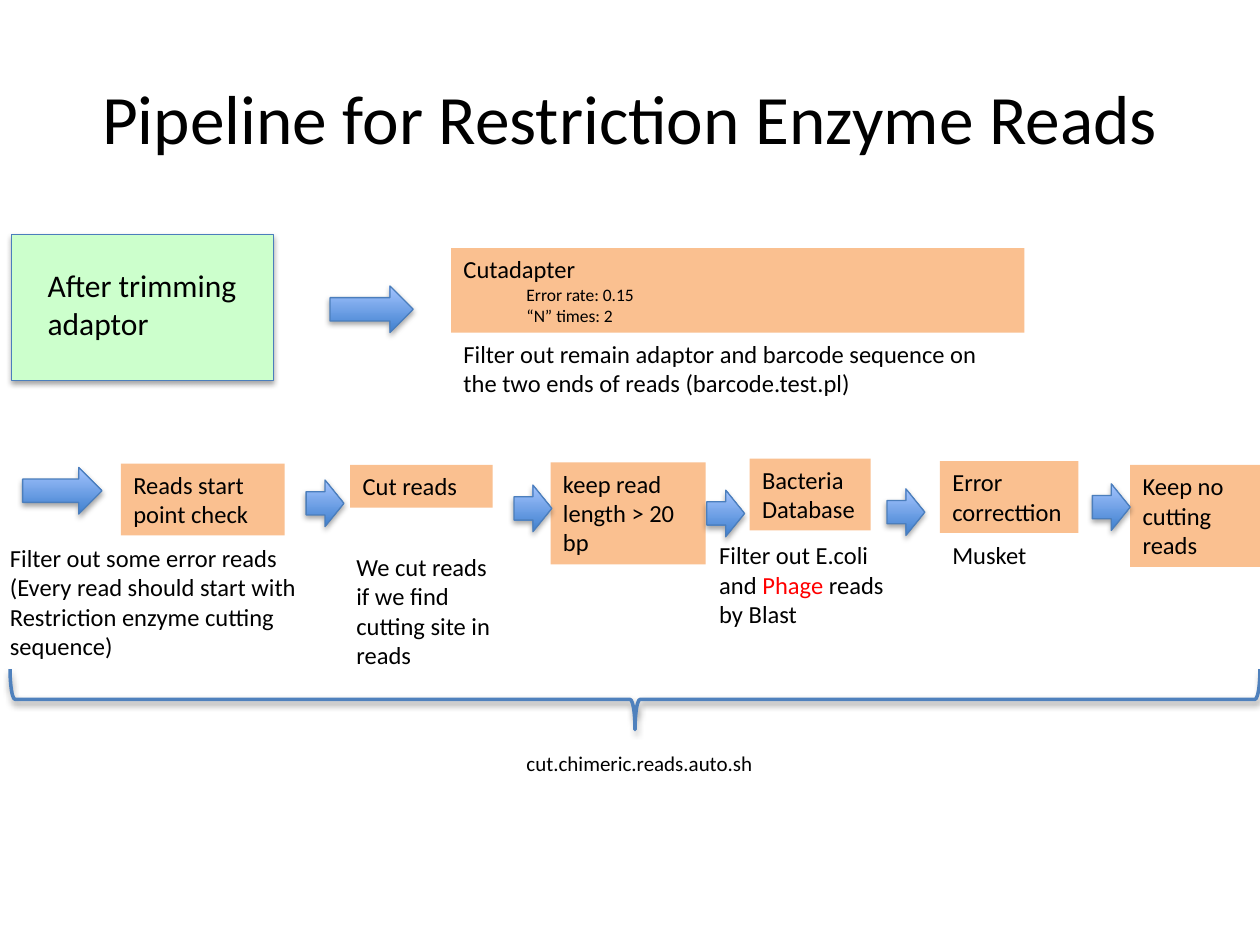
from pptx import Presentation
from pptx.dml.color import RGBColor
from pptx.enum.shapes import MSO_SHAPE
from pptx.enum.text import MSO_ANCHOR, MSO_AUTO_SIZE, PP_ALIGN
from pptx.oxml import parse_xml
from pptx.util import Inches, Pt

RECT, ARROW, BRACE = MSO_SHAPE.RECTANGLE, MSO_SHAPE.RIGHT_ARROW, MSO_SHAPE.LEFT_BRACE
GROW, MIDDLE, CENTER = MSO_AUTO_SIZE.SHAPE_TO_FIT_TEXT, MSO_ANCHOR.MIDDLE, PP_ALIGN.CENTER

THEME = {
    "font": "Calibri",
    "text": RGBColor.from_string("000000"),
    "alert": RGBColor.from_string("FF0000"),
    "start": RGBColor.from_string("CCFFCC"),
    "step": RGBColor.from_string("FAC090"),
    "outline": RGBColor.from_string("4B7EBC"),
    "brace": RGBColor.from_string("4F81BD"),
    "arrow": [RGBColor.from_string("3F80CE"), RGBColor.from_string("A4C4FF")],
    "title_size": 39.6, "start_size": 18, "body_size": 14,
    "script_size": 12, "detail_size": 10,
}
SHADOW = (
    '<a:effectLst xmlns:a="http://schemas.openxmlformats.org/drawingml/2006/main">'
    '<a:outerShdw blurRad="40000" dist="23000" dir="5400000" rotWithShape="0">'
    '<a:srgbClr val="000000"><a:alpha val="35000"/></a:srgbClr>'
    '</a:outerShdw></a:effectLst>')


def add_text(box, paragraphs, fill=None):
    """Add a text box; a paragraph is a list of (text, size, colour) runs."""
    sp = s.shapes.add_textbox(*map(Inches, box))
    if fill is not None:
        sp.fill.solid()
        sp.fill.fore_color.rgb = fill
    tf = sp.text_frame
    tf.word_wrap = True
    tf.auto_size = GROW
    for i, runs in enumerate(paragraphs):
        p = tf.add_paragraph() if i else tf.paragraphs[0]
        for text, size, color in runs:
            r = p.add_run()
            r.text = text
            for name, value in {"name": THEME["font"], "size": Pt(size)}.items():
                setattr(r.font, name, value)
            r.font.color.rgb = color
    return tf


def add_shadowed(kind, box, line, width):
    """Add an outlined shape with a soft shadow below it."""
    sp = s.shapes.add_shape(kind, *map(Inches, box))
    sp.line.color.rgb = line
    sp.line.width = Pt(width)
    sp._element.spPr.append(parse_xml(SHADOW))
    return sp


prs = Presentation()
prs.slide_width, prs.slide_height = Inches(10), Inches(7.5)
s = prs.slides.add_slide(prs.slide_layouts[5])
BODY, BLACK = THEME["body_size"], THEME["text"]

# Title
title = s.shapes.title
title.left, title.top, title.width, title.height = map(Inches, (0.5, 0.3, 9, 1.25))
tf = title.text_frame
tf.text = "Pipeline for Restriction Enzyme Reads"
tf.vertical_anchor = MIDDLE
p = tf.paragraphs[0]
p.alignment = CENTER
font = p.runs[0].font
for name, value in {"name": THEME["font"], "size": Pt(THEME["title_size"])}.items():
    setattr(font, name, value)
font.color.rgb = BLACK

# Starting point
start = add_shadowed(RECT, (0.09, 1.86, 2.08, 1.16), THEME["outline"], 0.75)
start.fill.solid()
start.fill.fore_color.rgb = THEME["start"]
add_text((0.28, 2.06, 1.83, 0.71),
         [[("After trimming adaptor", THEME["start_size"], BLACK)]])

# Adapter trimming with its settings
tf = add_text((3.58, 1.97, 4.55, 0.67),
              [[("Cutadapter", BODY, BLACK)],
               [("Error rate: 0.15", THEME["detail_size"], BLACK)],
               [("“N” times: 2", THEME["detail_size"], BLACK)]], THEME["step"])
for p in tf.paragraphs[1:]:
    p.level = 1

# Steps
steps = [
    ((0.96, 3.68, 1.3, 0.57), ["Reads start", "point check"]),
    ((2.78, 3.69, 1.13, 0.34), ["Cut reads"]),
    ((4.37, 3.67, 1.23, 0.81), ["keep read length > 20 bp"]),
    ((5.95, 3.64, 0.96, 0.57), ["Bacteria", "Database"]),
    ((7.46, 3.66, 1.1, 0.57), ["Error correcttion"]),
    ((8.97, 3.69, 1.03, 0.81), ["Keep no cutting reads"]),
]
for box, lines in steps:
    add_text(box, [[(line, BODY, BLACK)] for line in lines], THEME["step"])

# Explanations under the steps
notes = [
    ((3.58, 2.64, 4.55, 0.57),
     ["Filter out remain adaptor and barcode sequence on the two ends of reads "
      "(barcode.test.pl)"]),
    ((-0.02, 4.26, 2.81, 1.04),
     ["Filter out some error reads",
      "(Every read should start with Restriction enzyme cutting sequence)"]),
    ((2.73, 4.33, 1.35, 1.04), ["We cut reads if we find cutting site in reads"]),
    ((7.46, 4.24, 0.96, 0.34), ["Musket"]),
]
for box, lines in notes:
    add_text(box, [[(line, BODY, BLACK)] for line in lines])
add_text((5.61, 4.24, 1.58, 0.81),
         [[("Filter out E.coli and ", BODY, BLACK),
           ("Phage ", BODY, THEME["alert"]),
           ("reads", BODY, BLACK)],
          [("by Blast", BODY, BLACK)]])

# Arrows between the steps: left, top, width
arrows = [(2.62, 2.27, 0.66), (0.18, 3.71, 0.63), (2.43, 3.81, 0.3), (4.08, 3.85, 0.3),
          (5.61, 3.89, 0.3), (7.04, 3.88, 0.3), (8.67, 3.84, 0.3)]
for left, top, width in arrows:
    arrow = add_shadowed(ARROW, (left, top, width, 0.37), THEME["outline"], 0.75)
    arrow.fill.gradient()
    arrow.fill.gradient_angle = 90
    for stop, color in zip(arrow.fill.gradient_stops, THEME["arrow"]):
        stop.color.rgb = color

# Brace and the script that covers the steps
brace = add_shadowed(BRACE, (4.8, 0.59, 0.48, 9.92), THEME["brace"], 2)
brace.rotation = 270
brace.fill.background()
add_text((4.08, 5.91, 2.18, 0.3),
         [[("cut.chimeric.reads.auto.sh", THEME["script_size"], BLACK)]])

prs.save("out.pptx")
